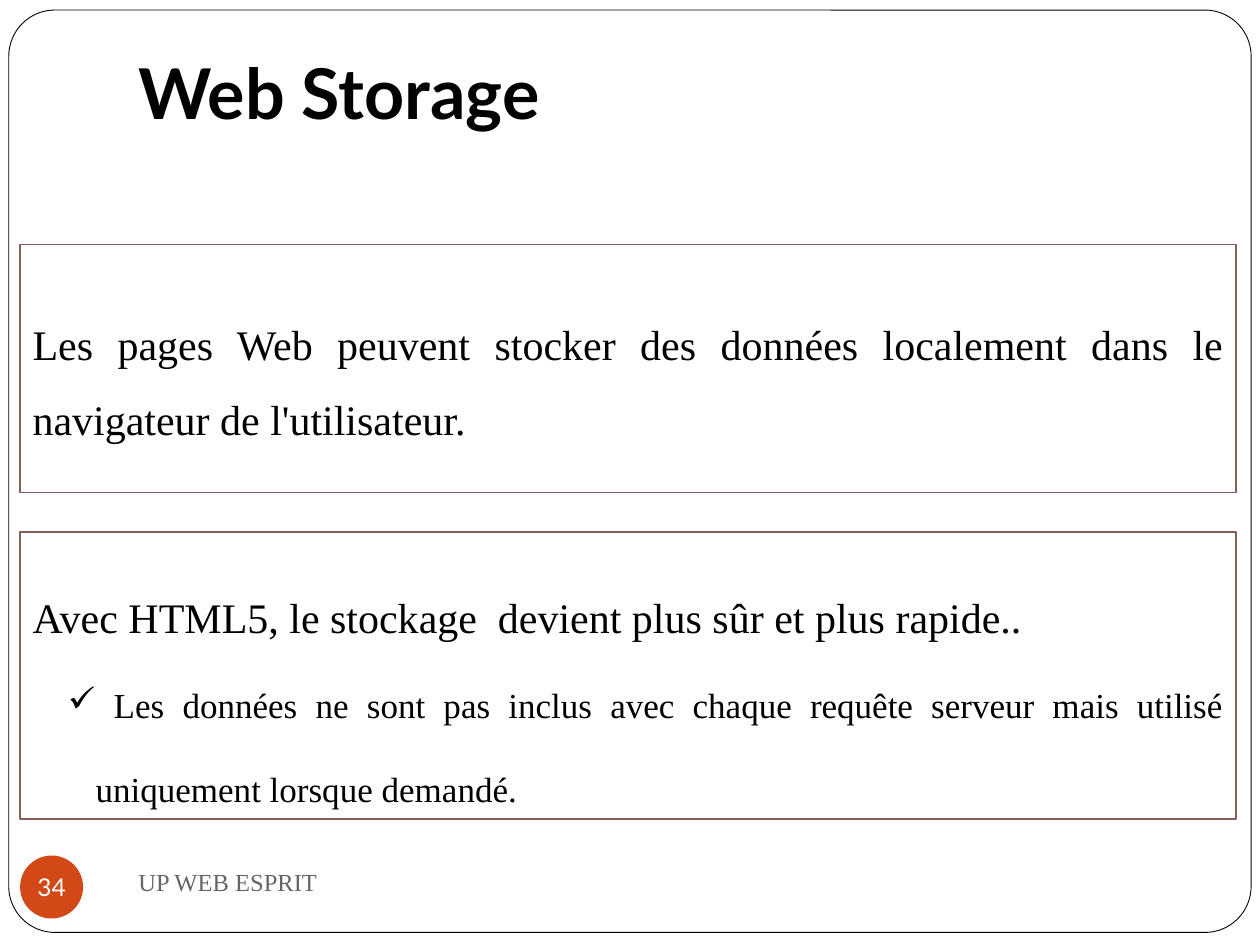
from dataclasses import dataclass

from lxml.etree import SubElement
from pptx import Presentation
from pptx.dml.color import RGBColor
from pptx.enum.shapes import MSO_SHAPE as Preset
from pptx.enum.text import MSO_ANCHOR as Anchor, PP_ALIGN as Align
from pptx.oxml.ns import qn
from pptx.util import Emu, Inches, Pt

BLACK = RGBColor(0x00, 0x00, 0x00)
WHITE = RGBColor(0xFF, 0xFF, 0xFF)
GREY = RGBColor(0x69, 0x64, 0x64)
ORANGE = RGBColor(0xD3, 0x48, 0x17)
MAROON = RGBColor(0x85, 0x5D, 0x5D)
HEADING_FONT, BODY_FONT = "Lato", "Times New Roman"

# Lengths in inches: shared left edge of the content and of the headings
MARGIN, HEADING_LEFT, PANEL_WIDTH = 0.16, 1, 9.65


@dataclass
class Statement:
    text: str
    size: int
    spacing: float
    checked: bool = False


@dataclass
class Panel:
    top: float
    height: float
    statements: list[Statement]


PANELS = [
    Panel(1.94, 1.97, [
        Statement("Les pages Web peuvent stocker des données localement dans le "
                  "navigateur de l'utilisateur.", 24, 1.5),
    ]),
    Panel(4.22, 2.28, [
        Statement("Avec HTML5, le stockage  devient plus sûr et plus rapide..", 24, 2.0),
        Statement(" Les données ne sont pas inclus avec chaque requête serveur mais utilisé "
                  "uniquement lorsque demandé.", 20, 2.0, checked=True),
    ]),
]


def box(left: float, top: float, width: float, height: float) -> tuple[Emu, ...]:
    return tuple(Inches(length) for length in (left, top, width, height))


def style(paragraph, font_name: str, size: int, color: RGBColor, bold: bool = False) -> None:
    font = paragraph.font
    font.name, font.size, font.bold = font_name, Pt(size), bold
    font.color.rgb = color


def add_filled(slide, preset, frame, fill: RGBColor, line: RGBColor | None = None,
               line_width: float = 1):
    shape = slide.shapes.add_shape(preset, *frame)
    shape.shadow.inherit = False
    shape.fill.solid()
    shape.fill.fore_color.rgb = fill
    if line is None:
        shape.line.fill.background()
    else:
        shape.line.color.rgb = line
        shape.line.width = Pt(line_width)
    return shape


def add_check(paragraph) -> None:
    properties = paragraph._p.get_or_add_pPr()
    properties.set("marL", str(Inches(0.5)))
    properties.set("indent", str(Inches(-0.22)))
    SubElement(properties, qn("a:buChar")).set("char", "✓")


def add_panel(slide, panel: Panel) -> None:
    frame = box(MARGIN, panel.top, PANEL_WIDTH, panel.height)
    body = add_filled(slide, Preset.RECTANGLE, frame, WHITE, MAROON).text_frame
    body.word_wrap = True
    body.vertical_anchor = Anchor.MIDDLE
    for index, statement in enumerate(panel.statements):
        paragraph = body.add_paragraph() if index else body.paragraphs[0]
        paragraph.text = statement.text
        paragraph.alignment = Align.JUSTIFY
        paragraph.line_spacing = statement.spacing
        if statement.checked:
            paragraph.level = 1
            add_check(paragraph)
        style(paragraph, BODY_FONT, statement.size, BLACK)


def add_title(slide, text: str) -> None:
    title = slide.shapes.title
    title.left, title.top, title.width, title.height = box(HEADING_LEFT, 0.16, 8.5, 1)
    heading = title.text_frame
    heading.text = text
    heading.vertical_anchor = Anchor.BOTTOM
    heading.margin_bottom = Inches(0.1)
    heading.paragraphs[0].alignment = Align.LEFT
    style(heading.paragraphs[0], HEADING_FONT, 40, BLACK, bold=True)


def add_footer(slide, text: str) -> None:
    footer = slide.shapes.add_textbox(*box(HEADING_LEFT, 6.75, 4.33, 0.5)).text_frame
    footer.word_wrap = True
    footer.vertical_anchor = Anchor.MIDDLE
    footer.text = text
    style(footer.paragraphs[0], BODY_FONT, 14, GREY)


def add_page_number(slide, number: str) -> None:
    badge = add_filled(slide, Preset.OVAL, box(MARGIN, 6.79, 0.5, 0.5), ORANGE).text_frame
    badge.margin_left = badge.margin_right = badge.margin_top = badge.margin_bottom = 0
    badge.word_wrap = False
    badge.vertical_anchor = Anchor.MIDDLE
    badge.text = number
    badge.paragraphs[0].alignment = Align.CENTER
    style(badge.paragraphs[0], HEADING_FONT, 14, WHITE)


def main() -> None:
    deck = Presentation()
    deck.slide_width, deck.slide_height = Inches(10), Inches(7.5)
    slide = deck.slides.add_slide(deck.slide_layouts[5])

    # Rounded page border, behind the title
    border = add_filled(slide, Preset.ROUNDED_RECTANGLE, box(0.07, 0.08, 9.86, 7.32),
                        WHITE, BLACK, 0.5)
    border.adjustments[0] = 0.05
    slide.shapes.title._element.addprevious(border._element)

    # Title, footer and page number
    add_title(slide, "Web Storage")
    add_footer(slide, "UP WEB ESPRIT")
    add_page_number(slide, "34")

    # Framed statements
    for panel in PANELS:
        add_panel(slide, panel)

    deck.save("out.pptx")


if __name__ == "__main__":
    main()
